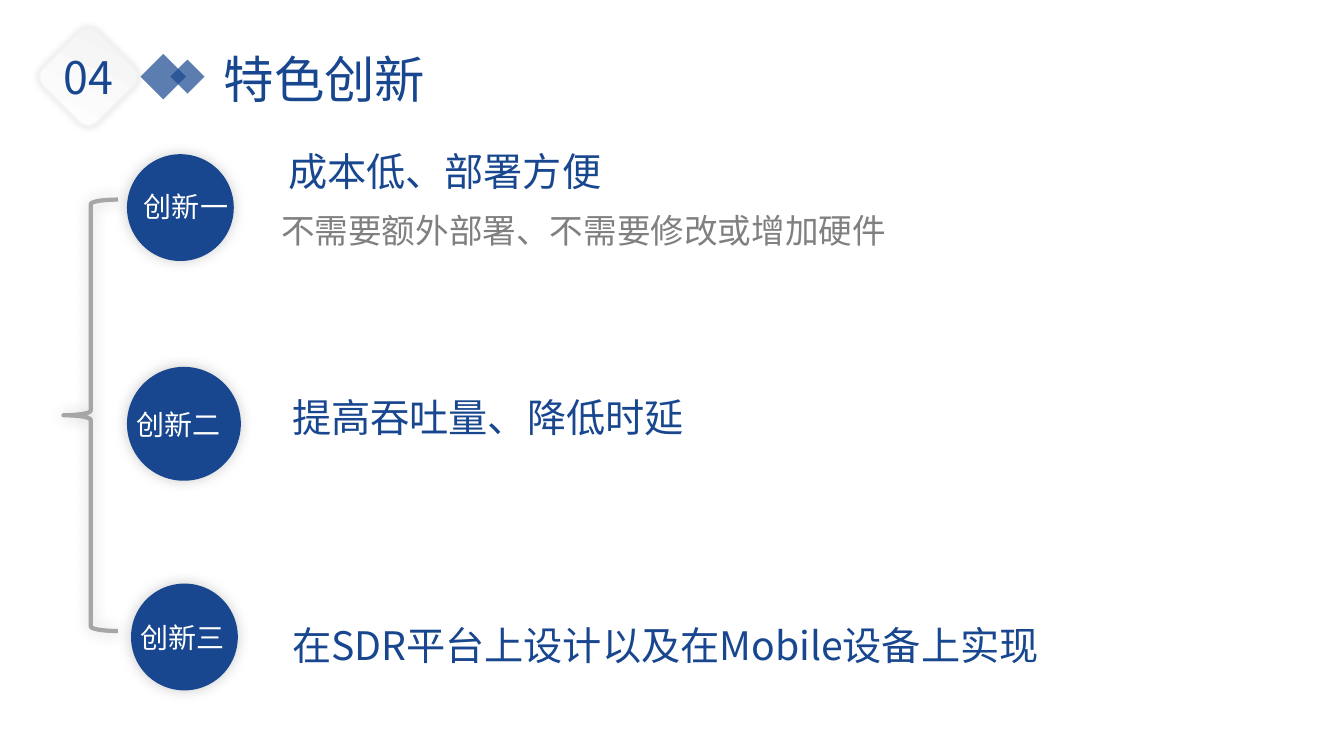
import pptx
import pptx.util
import pptx.dml.color
import pptx.enum.shapes
import pptx.enum.text
import pptx.oxml
import pptx.oxml.ns
import lxml.etree

WIDE, HIGH = pptx.util.Inches(13.333), pptx.util.Inches(7.5)
CELL = WIDE / 40
FONT = "Noto Sans CJK SC"
HUES = {"blue": "18478F", "gray": "808080", "brace": "A6A6A6",
        "pale": "F2F2F2", "white": "FFFFFF", "black": "000000"}
KIND = pptx.enum.shapes.MSO_SHAPE
ALIGN = pptx.enum.text.PP_ALIGN


def hue(name):
    return pptx.dml.color.RGBColor.from_string(HUES[name])


def grid(*cells):
    return [round(cell * CELL) for cell in cells]


def add_child(node, tag, **values):
    child = lxml.etree.SubElement(node, pptx.oxml.ns.qn(tag))
    for key, value in values.items():
        child.set(key, str(value))
    return child


def add_glow(shape, share, blur, angle=0):
    effects = shape._element.spPr.find(pptx.oxml.ns.qn("a:effectLst"))
    glow = add_child(effects, "a:outerShdw", blurRad=pptx.util.Pt(blur), dist=0,
                     dir=angle * 60000, algn="ctr", rotWithShape=0)
    tint = add_child(glow, "a:srgbClr", val=HUES["black"])
    add_child(tint, "a:alpha", val=share * 1000)


def add_form(slide, kind, place, fill=None, line=None, weight=0, turn=0):
    shape = slide.shapes.add_shape(kind, *grid(*place))
    shape.shadow.inherit = False
    shape.rotation = turn
    if fill:
        shape.fill.solid()
        shape.fill.fore_color.rgb = hue(fill)
    else:
        shape.fill.background()
    if line:
        shape.line.color.rgb = hue(line)
        shape.line.width = pptx.util.Pt(weight)
    else:
        shape.line.fill.background()
    return shape


def add_text(slide, text, place, size, color="blue", align=None, space=None, wrap=True):
    box = slide.shapes.add_textbox(*grid(*place))
    frame = box.text_frame
    frame.word_wrap = wrap
    frame.auto_size = pptx.enum.text.MSO_AUTO_SIZE.SHAPE_TO_FIT_TEXT
    para = frame.paragraphs[0]
    para.alignment = align
    para.line_spacing = space
    run = para.add_run()
    run.text = text
    run.font.size = pptx.util.Pt(size)
    run.font.color.rgb = hue(color)
    run.font.name = FONT
    add_child(run.font._element, "a:ea", typeface=FONT)


def add_disc(slide, left, top, size):
    disc = add_form(slide, KIND.OVAL, (left, top, size, size), fill="blue")
    add_glow(disc, 20, 10)


def add_gem(slide, left, top, size):
    gem = add_form(slide, KIND.RECTANGLE, (left, top, size, size), fill="blue", turn=225)
    tint = gem._element.spPr.find(".//" + pptx.oxml.ns.qn("a:srgbClr"))
    add_child(tint, "a:alpha", val=70000)


def add_badge(slide):
    badge = add_form(slide, KIND.ROUNDED_RECTANGLE, (1.47, 1.14, 2.31, 2.31),
                     line="pale", weight=2, turn=45)
    badge.fill.gradient()
    badge.fill.gradient_angle = 110
    for stop, name in zip(badge.fill.gradient_stops, ("white", "pale")):
        stop.color.rgb = hue(name)
    add_glow(badge, 11, 5)


def main():
    deck = pptx.Presentation()
    deck.slide_width, deck.slide_height = WIDE, HIGH
    slide = deck.slides.add_slide(deck.slide_layouts[6])

    brace = add_form(slide, KIND.LEFT_BRACE, (1.89, 5.94, 1.62, 12.84),
                     line="brace", weight=3)
    add_glow(brace, 20, 11, 135)
    for disc in ((3.78, 4.59, 3.18), (3.78, 10.92, 3.39), (3.9, 17.37, 3.18)):
        add_disc(slide, *disc)
    for text, left, top in (("创新一", 3.99, 5.49), ("创新二", 3.78, 11.97),
                            ("创新三", 3.9, 18.33)):
        add_text(slide, text, (left, top, 4.5, 1.32), 20, color="white")

    for gem in ((4.38, 1.8, 0.96), (5.22, 1.92, 0.72)):
        add_gem(slide, *gem)
    add_badge(slide)
    add_text(slide, "04", (1.59, 1.32, 2.19, 1.92), 32, wrap=False)
    add_text(slide, "特色创新", (6.36, 1.29, 9.75, 2.13), 36)

    for text, left, top, width in (
            ("成本低、部署方便", 8.28, 4.23, 10.2),
            ("提高吞吐量、降低时延", 8.4, 11.55, 21.21),
            ("在SDR平台上设计以及在Mobile设备上实现", 8.4, 18.33, 26.31)):
        add_text(slide, text, (left, top, width, 1.71), 28, align=ALIGN.JUSTIFY)
    add_text(slide, "不需要额外部署、不需要修改或增加硬件", (8.07, 5.49, 19.98, 2.1), 24,
             color="gray", space=1.5)

    deck.save("out.pptx")


if __name__ == "__main__":
    main()
